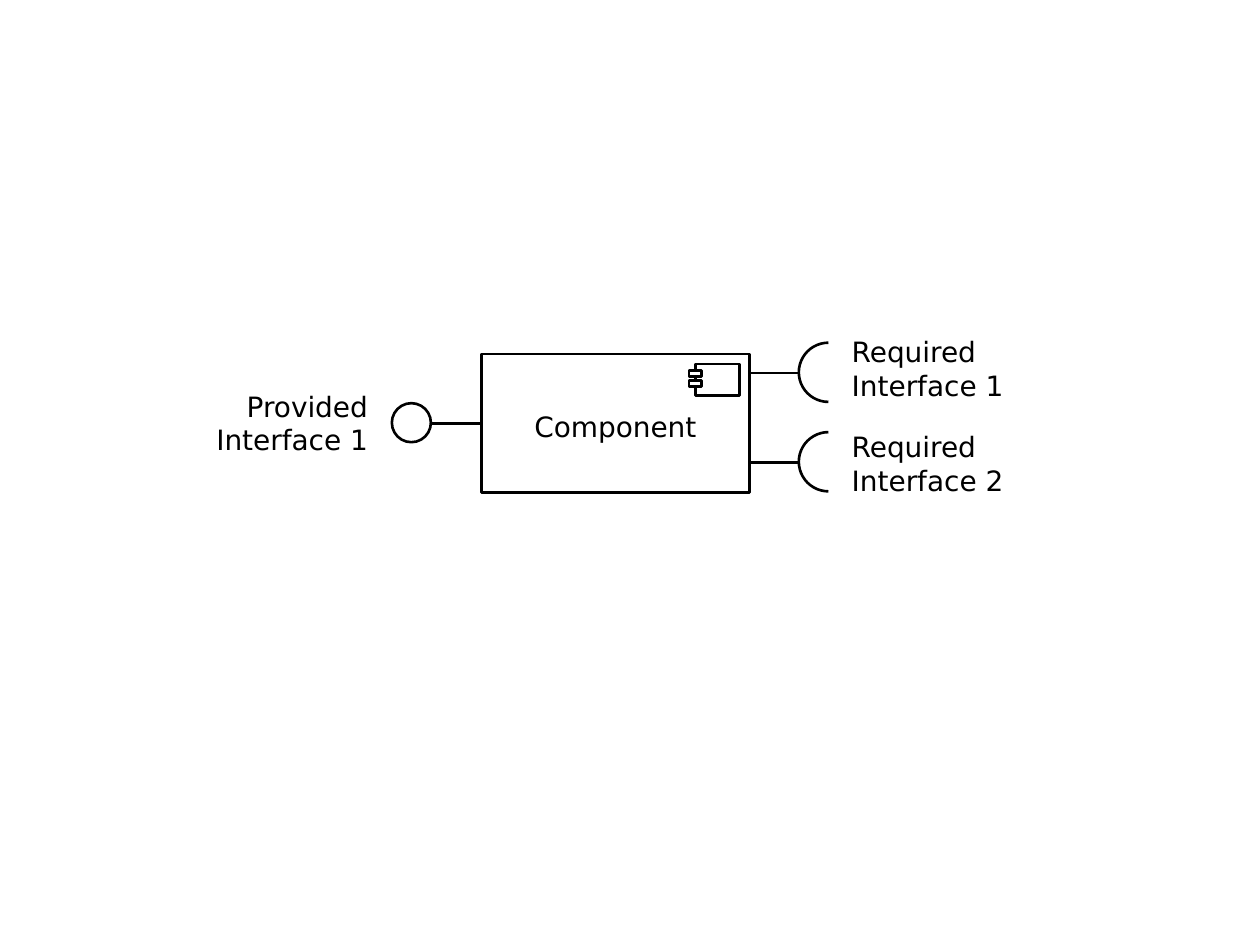
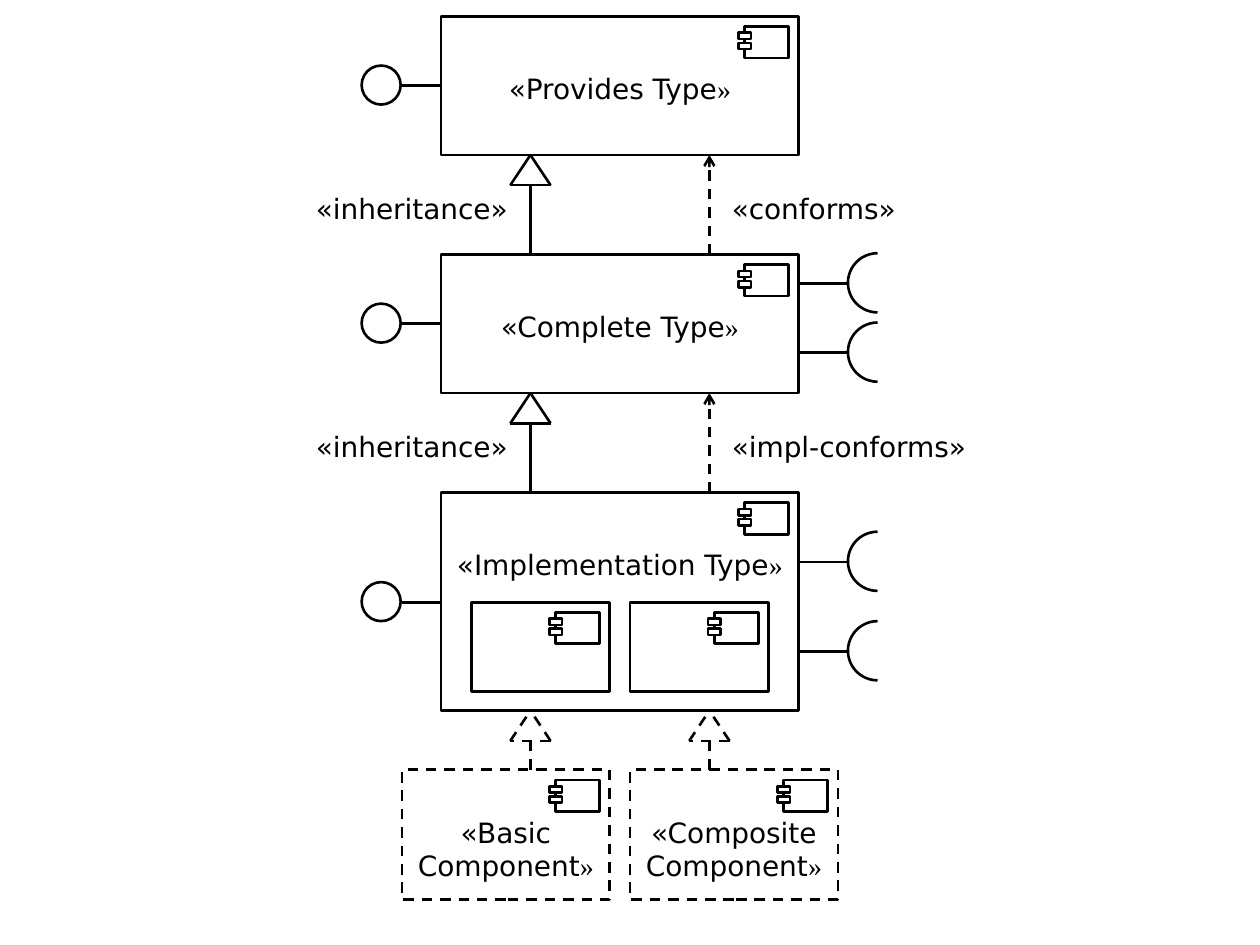
from pptx import Presentation
from pptx.dml.color import RGBColor
from pptx.enum.dml import MSO_LINE
from pptx.enum.shapes import MSO_CONNECTOR, MSO_SHAPE as SHAPE
from pptx.enum.text import MSO_ANCHOR, PP_ALIGN as ALIGN
from pptx.oxml.ns import qn
from pptx.util import Inches, Pt
from lxml.etree import SubElement

BLACK, WHITE = "000000", "FFFFFF"
FONT, CLOSING_FONT = "DejaVu Sans", "Times New Roman"


def rgb(hex_colour):
    return RGBColor.from_string(hex_colour)


class Diagram:
    """UML component notation drawn on the current slide."""
    line_width, text_size = Pt(1.5), Pt(16)

    def __init__(self, prs):
        self.prs = prs
        self.s = None

    def new_slide(self):
        self.s = self.prs.slides.add_slide(self.prs.slide_layouts[6])
        fill = self.s.background.fill
        fill.solid()
        fill.fore_color.rgb = rgb(WHITE)

    # Basic elements
    def stroke(self, line, dashed):
        line.color.rgb = rgb(BLACK)
        line.width = self.line_width
        if dashed:
            line.dash_style = MSO_LINE.DASH

    def shape(self, kind, x, y, w, h, fill=None, dashed=False):
        sp = self.s.shapes.add_shape(kind, Inches(x), Inches(y), Inches(w), Inches(h))
        sp.shadow.inherit = False
        if fill:
            sp.fill.solid()
            sp.fill.fore_color.rgb = rgb(fill)
        else:
            sp.fill.background()
        self.stroke(sp.line, dashed)
        return sp

    def line(self, x1, y1, x2, y2, dashed=False, arrow=False):
        cn = self.s.shapes.add_connector(
            MSO_CONNECTOR.STRAIGHT, Inches(x1), Inches(y1), Inches(x2), Inches(y2))
        self.stroke(cn.line, dashed)
        if arrow:
            SubElement(cn.line._get_or_add_ln(), qn("a:tailEnd"), type="arrow")
        SubElement(cn._element.spPr, qn("a:effectLst"))

    def text(self, x, y, w, h, runs, align, inset=0.0, before=10):
        sp = self.s.shapes.add_textbox(Inches(x), Inches(y), Inches(w), Inches(h))
        tf = sp.text_frame
        tf.word_wrap = True
        tf.vertical_anchor = MSO_ANCHOR.TOP
        tf.margin_left = Inches(0 if align == ALIGN.RIGHT else inset)
        tf.margin_right = Inches(0 if align == ALIGN.LEFT else inset)
        p = tf.paragraphs[0]
        p.alignment = align
        p.space_before = Pt(before)
        for content, font in runs:
            for i, part in enumerate(content.split("\n")):
                if i:
                    p.add_line_break()
                r = p.add_run()
                r.text = part
                r.font.name = font
                r.font.size = self.text_size
                r.font.color.rgb = rgb(BLACK)

    # UML elements
    def component(self, x, y, w, h, name="", name_dy=0.39, dashed=False):
        if name:
            runs = [(name.removesuffix("»"), FONT)]
            if name.endswith("»"):
                runs.append(("»", CLOSING_FONT))
            self.text(x, y + name_dy, w, 0.37, runs, ALIGN.CENTER)
        icon_x, icon_y = x + w - 0.43, y + 0.08
        self.shape(SHAPE.RECTANGLE, icon_x, icon_y, 0.35, 0.25, WHITE)
        for dy in (0.05, 0.13):
            self.shape(SHAPE.RECTANGLE, icon_x - 0.05, icon_y + dy, 0.1, 0.05, WHITE)
        self.shape(SHAPE.RECTANGLE, x, y, w, h, dashed=dashed)

    def provided(self, edge, y, stem=0.31):
        self.line(edge - stem, y, edge, y)
        self.shape(SHAPE.OVAL, edge - stem - 0.32, y - 0.16, 0.31, 0.31)

    def required(self, edge, y):
        self.line(edge, y, edge + 0.39, y)
        arc = self.shape(SHAPE.ARC, edge + 0.39, y - 0.24, 0.47, 0.47)
        # Angles of 90 and 270 degrees leave the left half of the circle
        arc.adjustments[0], arc.adjustments[1] = 54, 162

    def inheritance(self, x, bottom, tip, dashed=False):
        base, left, right = tip + 0.24, x - 0.16, x + 0.16
        for ends in ((x, bottom, x, base), (left, base, x, tip),
                     (right, base, x, tip), (right, base, left, base)):
            self.line(*ends, dashed=dashed)

    def interface_label(self, x, y, label, align):
        self.text(x, y, 1.42, 0.37, [(label, FONT)], align, inset=0.11)

    def relation_label(self, x, y, label, align):
        self.text(x, y, 2.36, 0.39, [(label, FONT)], align, inset=0.1, before=4)


def component_slide(d):
    d.new_slide()
    x, y, w = 3.82, 2.81, 2.13
    d.component(x, y, w, 1.1, "Component")
    d.provided(x, 3.36, stem=0.39)
    for port_y in (2.96, 3.67):
        d.required(x + w, port_y)
    d.interface_label(1.61, 3.04, "Provided\nInterface 1", ALIGN.RIGHT)
    for number, label_y in enumerate((2.61, 3.36), 1):
        d.interface_label(6.65, label_y, f"Required\nInterface {number}", ALIGN.LEFT)


def type_hierarchy_slide(d):
    d.new_slide()
    x, w = 3.5, 2.84
    inherit_x, conform_x = 4.21, 5.63

    # Types: name, top, height, provided port, required ports
    types = [
        ("«Provides Type»", 0.13, 1.1, 0.68, ()),
        ("«Complete Type»", 2.02, 1.1, 2.57, (2.25, 2.8)),
        ("«Implementation Type»", 3.91, 1.73, 4.78, (4.46, 5.17)),
    ]
    for name, top, height, port_y, required in types:
        d.component(x, top, w, height, name)
        d.provided(x, port_y)
        for y in required:
            d.required(x + w, y)

    # Parts inside the implementation type
    for part_x in (3.74, 5):
        d.component(part_x, 4.78, 1.1, 0.71)

    # Relations from each type to the one above
    for upper, lower, label in zip(types, types[1:], ("«conforms»", "«impl-conforms»")):
        tip, bottom = upper[1] + upper[2], lower[1]
        d.line(conform_x, bottom, conform_x, tip, dashed=True, arrow=True)
        d.inheritance(inherit_x, bottom, tip)
        d.relation_label(5.71, tip + 0.24, label, ALIGN.LEFT)
        d.relation_label(1.77, tip + 0.24, "«inheritance»", ALIGN.RIGHT)

    # Realising components
    for name, left, link_x in (("«Basic\nComponent»", 3.19, inherit_x),
                               ("«Composite\nComponent»", 5, conform_x)):
        d.component(left, 6.11, 1.65, 1.03, name, name_dy=0.31, dashed=True)
        d.inheritance(link_x, 6.11, 5.64, dashed=True)


def main():
    prs = Presentation()
    prs.slide_width, prs.slide_height = Inches(10), Inches(7.5)
    d = Diagram(prs)
    component_slide(d)
    type_hierarchy_slide(d)
    prs.save("out.pptx")


if __name__ == "__main__":
    main()
